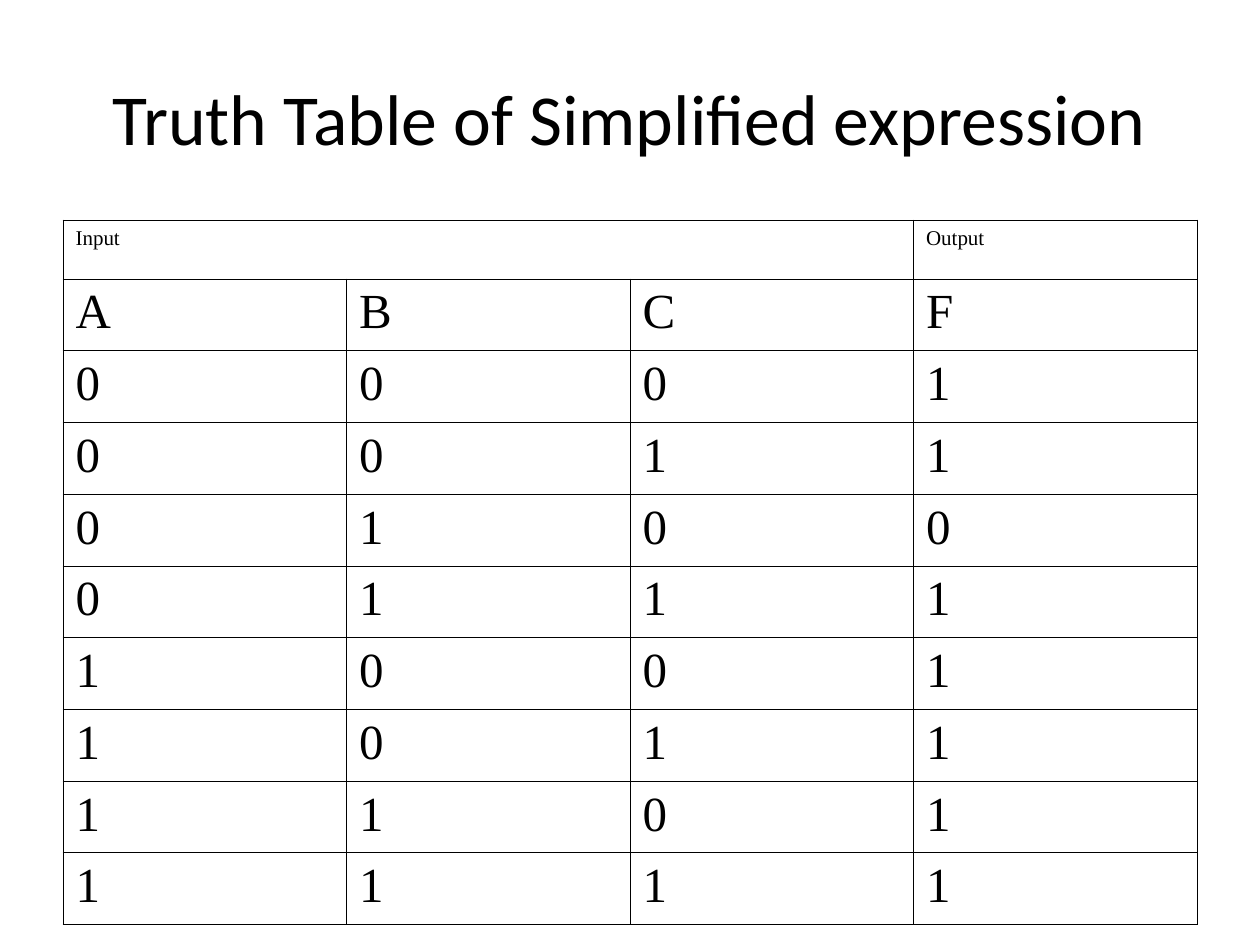
from dataclasses import dataclass
from itertools import product

from lxml.etree import SubElement
from pptx import Presentation
from pptx.dml.color import RGBColor
from pptx.enum.text import MSO_ANCHOR as Anchor, PP_ALIGN as Align
from pptx.oxml.ns import qn
from pptx.util import Emu, Pt

PX_PER_INCH = 126


def px(length: float) -> Emu:
    return Emu(round(length * 914400 / PX_PER_INCH))


@dataclass(frozen=True)
class Theme:
    ink: str = "000000"
    title_font: str = "Calibri"
    table_font: str = "Times New Roman"
    title_size: int = 41
    group_size: int = 12
    value_size: int = 28
    border_width: float = 0.45


@dataclass(frozen=True)
class Box:
    left: int
    top: int
    width: int
    height: int

    def emu(self) -> tuple[Emu, ...]:
        return tuple(px(side) for side in (self.left, self.top, self.width, self.height))


@dataclass(frozen=True)
class TextStyle:
    font: str
    size: int
    align: Align


THEME = Theme()
TITLE_BOX = Box(63, 38, 1134, 157)
TABLE_BOX = Box(63, 220, 1134, 705)
GROUP_ROW_HEIGHT = 59

TITLE_STYLE = TextStyle(THEME.title_font, THEME.title_size, Align.CENTER)
GROUP_STYLE = TextStyle(THEME.table_font, THEME.group_size, Align.JUSTIFY)
VALUE_STYLE = TextStyle(THEME.table_font, THEME.value_size, Align.JUSTIFY)


def write_text(text_frame, text: str, style: TextStyle) -> None:
    paragraph = text_frame.paragraphs[0]
    paragraph.alignment = style.align
    run = paragraph.add_run()
    run.text = text
    formats = {"name": style.font, "size": Pt(style.size), "bold": False}
    for name, value in formats.items():
        setattr(run.font, name, value)
    run.font.color.rgb = RGBColor.from_string(THEME.ink)


def draw_borders(cell) -> None:
    properties = cell._tc.get_or_add_tcPr()
    for index, side in enumerate(("lnL", "lnR", "lnT", "lnB")):
        line = SubElement(properties, qn(f"a:{side}"), w=str(Pt(THEME.border_width)))
        fill = SubElement(line, qn("a:solidFill"))
        SubElement(fill, qn("a:srgbClr"), val=THEME.ink)
        properties.insert(index, line)  # borders come before the cell fill


def draw_title(slide, text: str) -> None:
    text_frame = slide.shapes.add_textbox(*TITLE_BOX.emu()).text_frame
    text_frame.word_wrap = True
    text_frame.vertical_anchor = Anchor.MIDDLE
    write_text(text_frame, text, TITLE_STYLE)


def truth_rows() -> list[tuple[str, ...]]:
    """Rows of F = A + B' + C for every input."""
    rows = [("A", "B", "C", "F")]
    for a, b, c in product((0, 1), repeat=3):
        rows.append(tuple(str(bit) for bit in (a, b, c, a | (1 - b) | c)))
    return rows


def draw_truth_table(slide, rows: list[tuple[str, ...]]) -> None:
    column_count = len(rows[0])
    frame = slide.shapes.add_table(len(rows) + 1, column_count, *TABLE_BOX.emu())
    table = frame.table
    table.first_row = table.horz_banding = False

    # Grid
    for column in table.columns:
        column.width = px(TABLE_BOX.width / column_count)
    for row in table.rows:
        row.height = px((TABLE_BOX.height - GROUP_ROW_HEIGHT) / len(rows))
    table.rows[0].height = px(GROUP_ROW_HEIGHT)
    for cell in table.iter_cells():
        cell.fill.background()
        draw_borders(cell)

    # Input and output headings
    output_column = column_count - 1
    table.cell(0, 0).merge(table.cell(0, output_column - 1))
    for column, heading in ((0, "Input"), (output_column, "Output")):
        write_text(table.cell(0, column).text_frame, heading, GROUP_STYLE)

    # Variable names and values
    for row_index, values in enumerate(rows, start=1):
        for column, value in enumerate(values):
            write_text(table.cell(row_index, column).text_frame, value, VALUE_STYLE)


def main() -> None:
    presentation = Presentation()
    presentation.slide_width, presentation.slide_height = px(1260), px(945)
    slide = presentation.slides.add_slide(presentation.slide_layouts[6])
    draw_title(slide, "Truth Table of Simplified expression")
    draw_truth_table(slide, truth_rows())
    presentation.save("out.pptx")


if __name__ == "__main__":
    main()
